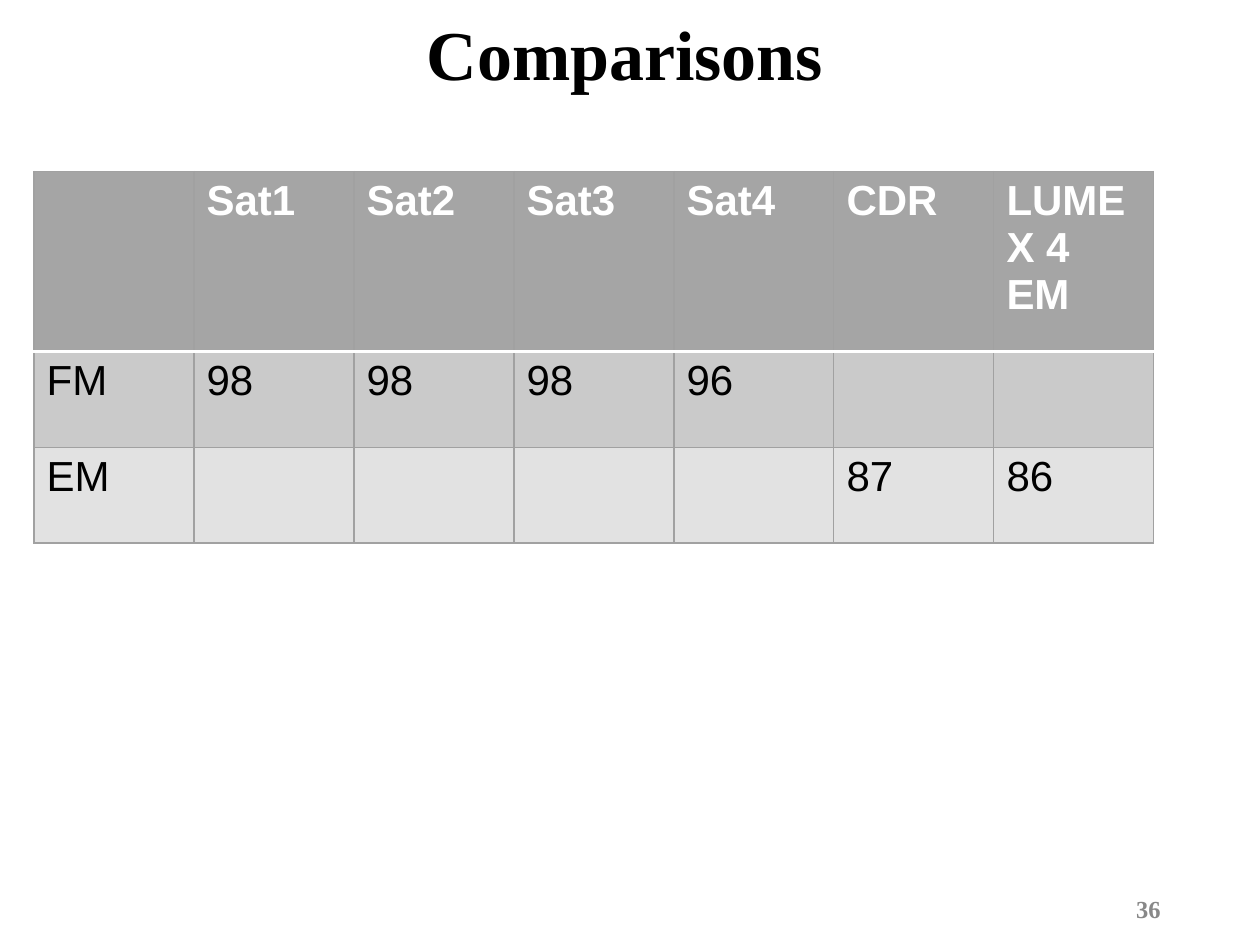
from lxml.etree import SubElement
from pptx import Presentation
from pptx.dml.color import RGBColor
from pptx.enum.text import MSO_ANCHOR, PP_ALIGN
from pptx.oxml.ns import qn
from pptx.util import Inches, Pt

BLACK = RGBColor(0x00, 0x00, 0x00)
WHITE = RGBColor(0xFF, 0xFF, 0xFF)
MUTED = RGBColor(0x88, 0x88, 0x88)
EDGE = RGBColor(0xA1, 0xA1, 0xA1)
FILLS = [RGBColor(0xA5, 0xA5, 0xA5), RGBColor(0xCA, 0xCA, 0xCA),
         RGBColor(0xE2, 0xE2, 0xE2)]
SERIF = "Times New Roman"

ROWS = [
    ["", "Sat1", "Sat2", "Sat3", "Sat4", "CDR", "LUMEX 4 EM"],
    ["FM", "98", "98", "98", "96", "", ""],
    ["EM", "", "", "", "", "87", "86"],
]
COL = 1.27
HEIGHTS = [1.43, 0.76, 0.76]


def write(frame, text, size=24, font="Arial", color=BLACK, bold=False,
          align=PP_ALIGN.LEFT, spacing=1.0):
    para = frame.paragraphs[0]
    para.alignment = align
    para.line_spacing = spacing
    run = para.add_run()
    run.text = text
    run.font.size = Pt(size)
    run.font.name = font
    run.font.bold = bold
    run.font.color.rgb = color


def add_label(slide, box, text, **style):
    frame = slide.shapes.add_textbox(*map(Inches, box)).text_frame
    frame.word_wrap = True
    frame.vertical_anchor = MSO_ANCHOR.MIDDLE
    write(frame, text, **style)


def set_edge(cell, side, color=EDGE, width=0.75):
    """Draw one cell border; call before filling, in the order L, R, T, B."""
    props = cell._tc.get_or_add_tcPr()
    line = SubElement(props, qn(f"a:ln{side}"), w=str(Pt(width)))
    fill = SubElement(line, qn("a:solidFill"))
    SubElement(fill, qn("a:srgbClr"), val=str(color))


def style_cell(cell, row):
    for side in "LRTB":
        if (row, side) in [(0, "B"), (1, "T")]:
            set_edge(cell, side, WHITE, 2)
        else:
            set_edge(cell, side)
    cell.fill.solid()
    cell.fill.fore_color.rgb = FILLS[row]


def add_grid(slide, left, top):
    count = len(ROWS[0])
    table = slide.shapes.add_table(
        len(ROWS), count, Inches(left), Inches(top),
        Inches(COL * count), Inches(sum(HEIGHTS))).table
    table.horz_banding = False
    for column in table.columns:
        column.width = Inches(COL)
    for row, (values, height) in enumerate(zip(ROWS, HEIGHTS)):
        table.rows[row].height = Inches(height)
        head = row == 0
        for col, value in enumerate(values):
            cell = table.cell(row, col)
            style_cell(cell, row)
            if value:
                write(cell.text_frame, value, bold=head,
                      color=WHITE if head else BLACK)


def main():
    deck = Presentation()
    deck.slide_width, deck.slide_height = Inches(10), Inches(7.5)
    slide = deck.slides.add_slide(deck.slide_layouts[6])
    add_label(slide, (0.27, 0, 9.38, 0.91), "Comparisons", size=40,
              font=SERIF, bold=True, align=PP_ALIGN.CENTER, spacing=0.9)
    add_label(slide, (7.06, 7.01, 2.25, 0.4), "36", size=14, font=SERIF,
              color=MUTED, bold=True, align=PP_ALIGN.RIGHT)
    add_grid(slide, 0.27, 1.36)
    deck.save("out.pptx")


if __name__ == "__main__":
    main()
